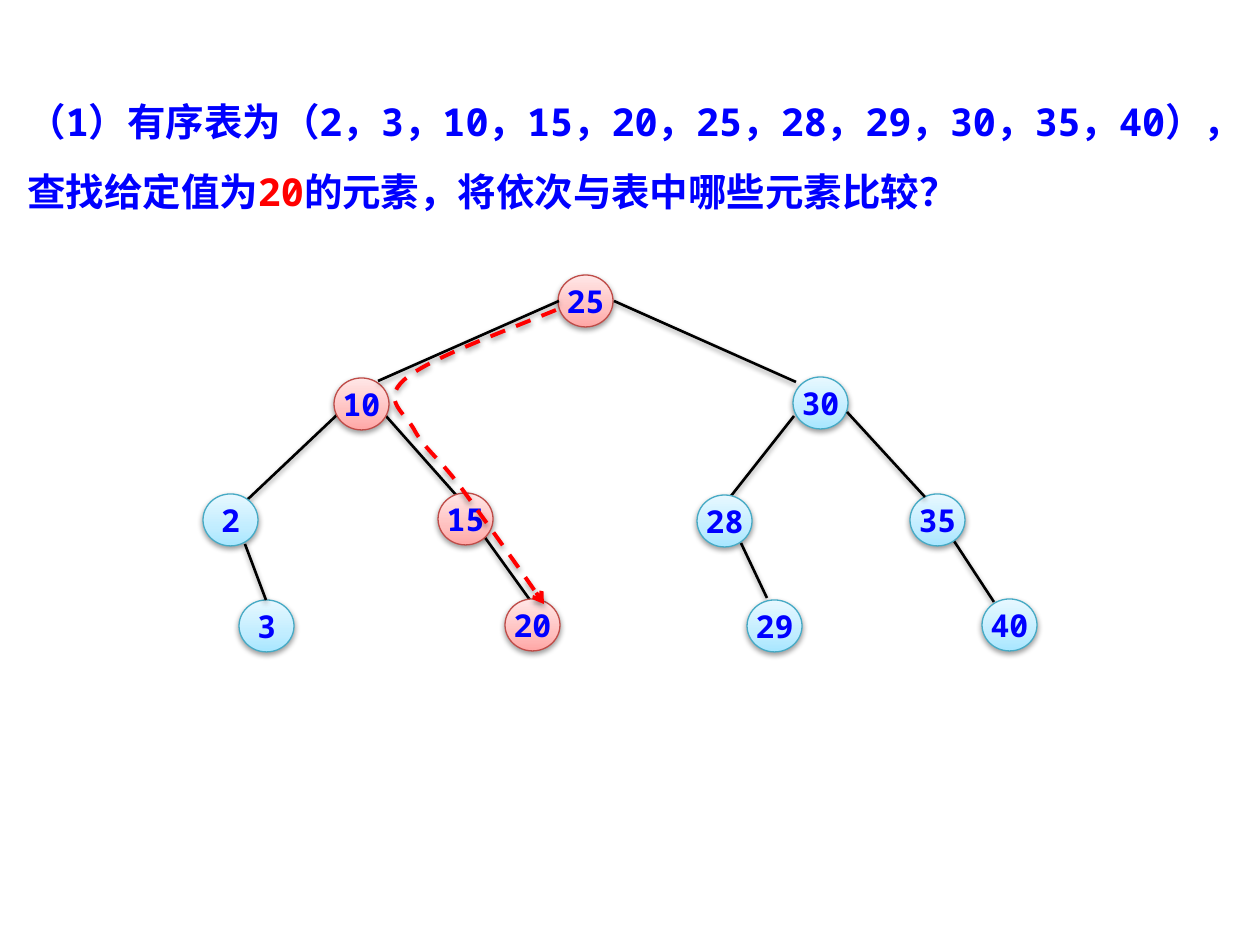
import copy
from dataclasses import dataclass

import lxml.etree
import pptx
import pptx.dml.color
import pptx.enum.dml
import pptx.enum.shapes
import pptx.enum.text
import pptx.oxml
import pptx.oxml.ns
import pptx.util

SCALE = 914400 / 126
FONT = "Noto Sans Mono"
BLUE, RED, BLACK = "0000FF", "FF0000", "000000"
NODE_W, NODE_H = 55, 52


@dataclass(frozen=True)
class Paint:
    stops: tuple[str, str, str]
    edge: str


@dataclass(frozen=True)
class Node:
    key: int
    left: int
    top: int
    paint: Paint


@dataclass(frozen=True)
class Edge:
    x1: int
    y1: int
    x2: int
    y2: int


PINK = Paint(("FFA6A5", "FFC0BF", "FFE7E7"), "BF4C48")
CYAN = Paint(("A7E6FF", "C1EDFF", "E7F8FF"), "46AAC5")

NODES = (
    Node(25, 558, 275, PINK),
    Node(10, 334, 378, PINK),
    Node(30, 793, 377, CYAN),
    Node(2, 203, 494, CYAN),
    Node(15, 438, 493, PINK),
    Node(28, 697, 495, CYAN),
    Node(35, 910, 494, CYAN),
    Node(3, 239, 600, CYAN),
    Node(20, 505, 599, PINK),
    Node(29, 747, 600, CYAN),
    Node(40, 982, 599, CYAN),
)
BACK_EDGES = (
    Edge(338, 414, 247, 500),
    Edge(794, 416, 731, 496),
    Edge(386, 416, 465, 505),
    Edge(481, 532, 530, 600),
    Edge(741, 543, 767, 598),
    Edge(954, 541, 994, 602),
)
FRONT_EDGES = (
    Edge(559, 301, 378, 381),
    Edge(614, 301, 796, 382),
    Edge(847, 412, 925, 497),
    Edge(245, 544, 266, 600),
)
# Search path: a start, then two control points and an end for each curve
TRAIL = (
    (556, 310),
    (485, 339), (427, 360), (404, 380),
    (381, 401), (406, 413), (415, 431),
    (425, 449), (438, 457), (460, 486),
    (481, 515), (513, 559), (544, 604),
)
QUERY = (
    ("（1）有序表为（2，3，10，15，20，25，28，29，30，35，40），查找给定值为", BLUE),
    ("20", RED),
    ("的元素，将依次与表中哪些元素比较？", BLUE),
)


def px(size: int) -> int:
    return round(size * SCALE)


def rgb(code: str) -> pptx.dml.color.RGBColor:
    return pptx.dml.color.RGBColor.from_string(code)


def set_font(font, size: int, code: str) -> None:
    font.name = FONT
    font.size = pptx.util.Pt(size)
    font.bold = True
    font.color.rgb = rgb(code)


def set_line(shape, code: str, width: float) -> None:
    shape.line.color.rgb = rgb(code)
    shape.line.width = pptx.util.Pt(width)


def add_shade(shape) -> None:
    """Append a soft drop shadow; call after fill and line are set."""
    space = pptx.oxml.ns.nsdecls("a")
    shape._element.spPr.append(pptx.oxml.parse_xml(
        f'<a:effectLst {space}><a:outerShdw blurRad="40000" dist="20000" '
        'dir="5400000" rotWithShape="0"><a:srgbClr val="000000">'
        '<a:alpha val="38000"/></a:srgbClr></a:outerShdw></a:effectLst>'))


def fill_node(shape, stops: tuple[str, str, str]) -> None:
    fill = shape.fill
    fill.gradient()
    fill.gradient_angle = 90
    first = shape._element.spPr.find(".//" + pptx.oxml.ns.qn("a:gs"))
    first.addnext(copy.deepcopy(first))
    for stop, code, place in zip(fill.gradient_stops, stops, (0, 0.35, 1)):
        stop.color.rgb = rgb(code)
        stop.position = place


def draw_node(shapes, node: Node) -> None:
    oval = shapes.add_shape(
        pptx.enum.shapes.MSO_SHAPE.OVAL,
        px(node.left), px(node.top), px(NODE_W), px(NODE_H))
    fill_node(oval, node.paint.stops)
    set_line(oval, node.paint.edge, 0.75)
    add_shade(oval)
    frame = oval.text_frame
    frame.margin_left = frame.margin_right = 0
    frame.margin_top = frame.margin_bottom = 0
    frame.vertical_anchor = pptx.enum.text.MSO_ANCHOR.MIDDLE
    frame.text = str(node.key)
    para = frame.paragraphs[0]
    para.alignment = pptx.enum.text.PP_ALIGN.CENTER
    set_font(para.runs[0].font, 18, BLUE)


def draw_edge(shapes, edge: Edge) -> None:
    line = shapes.add_connector(
        pptx.enum.shapes.MSO_CONNECTOR.STRAIGHT,
        px(edge.x1), px(edge.y1), px(edge.x2), px(edge.y2))
    set_line(line, BLACK, 1.5)
    add_shade(line)


def draw_trail(shapes) -> None:
    """Draw the dashed search path, turning each three points into a curve."""
    qn = pptx.oxml.ns.qn
    pen = shapes.build_freeform(*TRAIL[0], scale=SCALE)
    pen.add_line_segments(TRAIL[1:], close=False)
    trail = pen.convert_to_shape()
    steps = trail._element.spPr.findall(".//" + qn("a:lnTo"))
    for start in range(0, len(steps), 3):
        curve = lxml.etree.Element(qn("a:cubicBezTo"))
        steps[start].addprevious(curve)
        for step in steps[start:start + 3]:
            curve.append(step[0])
            step.getparent().remove(step)
    trail.fill.background()
    set_line(trail, RED, 2.25)
    trail.line.dash_style = pptx.enum.dml.MSO_LINE.DASH
    stroke = trail._element.spPr.find(qn("a:ln"))
    lxml.etree.SubElement(stroke, qn("a:tailEnd"), type="arrow")
    add_shade(trail)


def draw_query(shapes) -> None:
    box = shapes.add_textbox(px(15), px(69), px(1230), px(145))
    frame = box.text_frame
    frame.word_wrap = True
    frame.auto_size = pptx.enum.text.MSO_AUTO_SIZE.SHAPE_TO_FIT_TEXT
    para = frame.paragraphs[0]
    para.line_spacing = 1.5
    for text, code in QUERY:
        run = para.add_run()
        run.text = text
        set_font(run.font, 22, code)


def main() -> None:
    deck = pptx.Presentation()
    deck.slide_width = px(1260)
    deck.slide_height = px(945)
    shapes = deck.slides.add_slide(deck.slide_layouts[6]).shapes
    draw_query(shapes)
    for edge in BACK_EDGES:
        draw_edge(shapes, edge)
    for node in NODES:
        draw_node(shapes, node)
    for edge in FRONT_EDGES:
        draw_edge(shapes, edge)
    draw_trail(shapes)
    deck.save("out.pptx")


if __name__ == "__main__":
    main()
